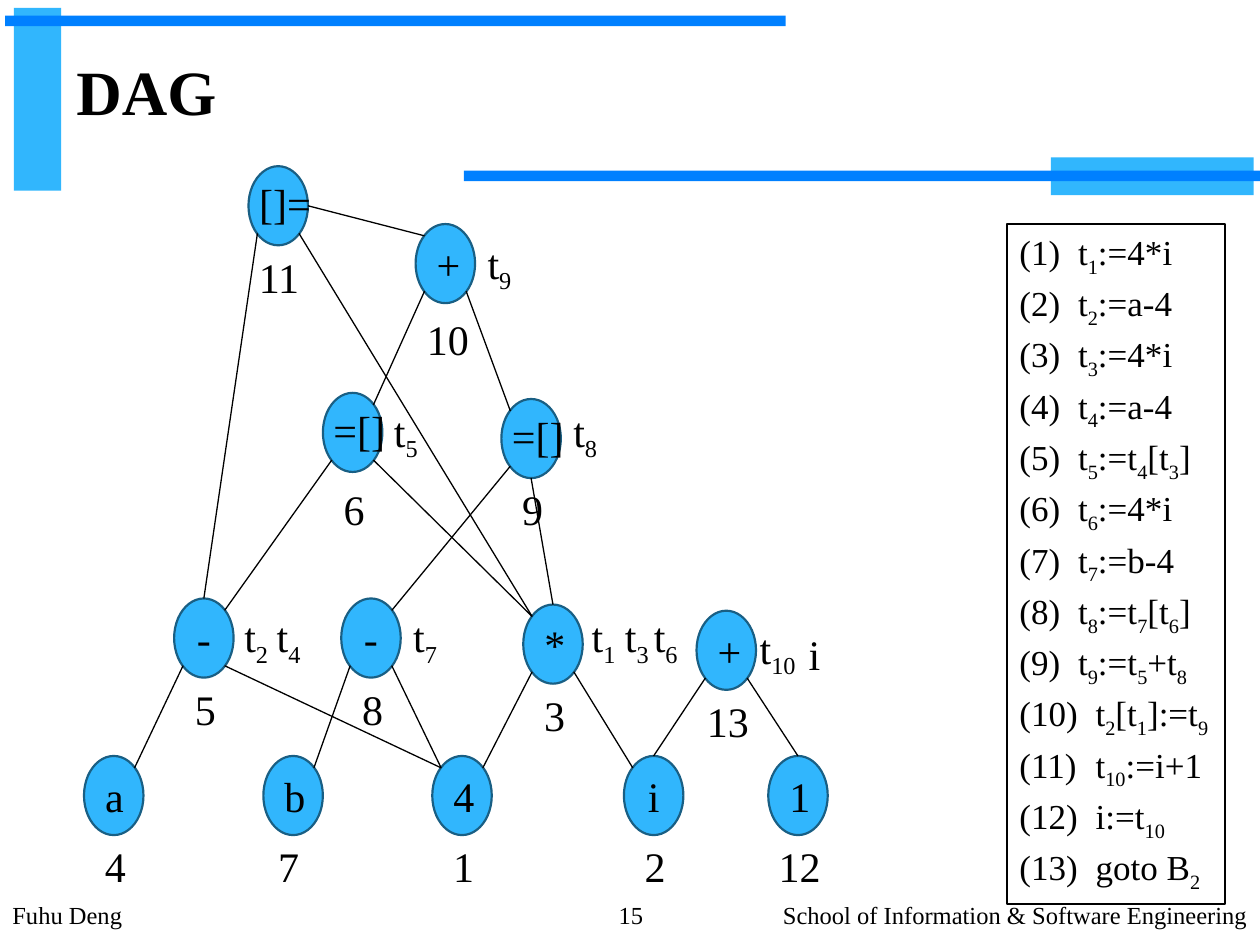
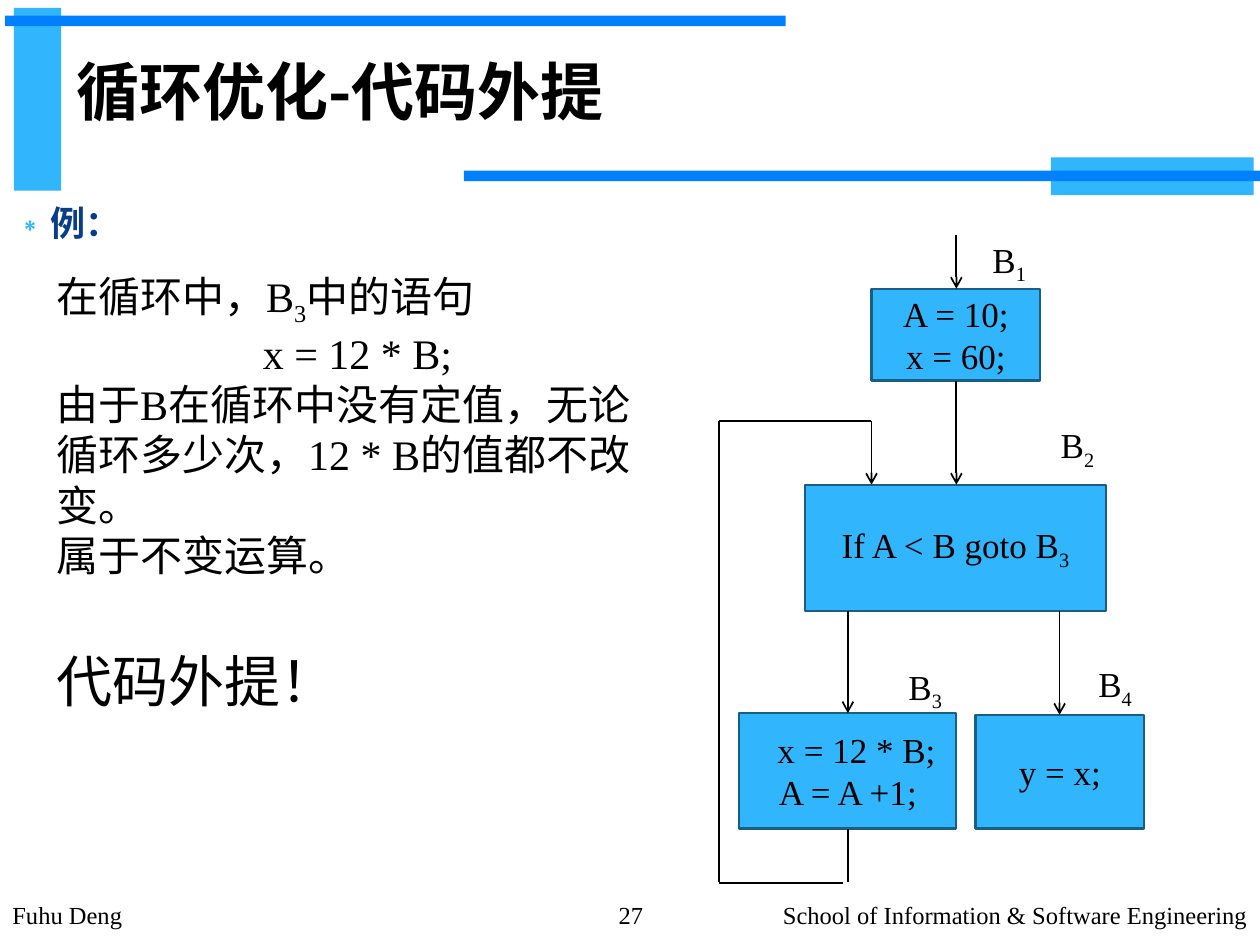
from lxml import etree
from pptx import Presentation
from pptx.dml.color import RGBColor
from pptx.enum import shapes, text
from pptx.oxml.ns import qn
from pptx.util import Pt

SERIF, SANS = "Times New Roman", "Noto Sans CJK SC"
BLACK, SKY, BLUE, EDGE, NAVY = "000000", "31B6FD", "0080FF", "195F84", "073E87"
LEFT, CENTER, RIGHT = text.PP_ALIGN.LEFT, text.PP_ALIGN.CENTER, text.PP_ALIGN.RIGHT
TOP, MIDDLE = text.MSO_ANCHOR.TOP, text.MSO_ANCHOR.MIDDLE
RECT, OVAL = shapes.MSO_SHAPE.RECTANGLE, shapes.MSO_SHAPE.OVAL

BANDS = [(8, 4.5, 27, 104.5, SKY), (3, 9, 446, 6, BLUE),
         (600.5, 90, 116, 21.5, SKY), (265, 97.5, 458, 6, BLUE)]

NODE_W, NODE_H = 34, 45.2
NODES = {1: (247, 432, "4"), 2: (356.5, 432, "i"), 3: (299, 345.5, "*"),
         4: (48, 432, "a"), 5: (99.5, 342, "-"), 6: (184.5, 224.5, "=[]"),
         7: (150.5, 432, "b"), 8: (195, 342, "-"), 9: (286.5, 228, "=[]"),
         10: (237.5, 128, "+"), 11: (142, 95, "[]="), 12: (439, 432, "1"),
         13: (398, 349, "+")}
NUMBER_SHIFTS = {6: (0, 3.5), 7: (-3.5, 0), 10: (0.5, 2.5)}
SITES = {"top": (0.5, 0), "bottom": (0.5, 1), "right": (1, 0.5),
         "tl": (0.15, 0.15), "tr": (0.85, 0.15),
         "bl": (0.15, 0.85), "br": (0.85, 0.85)}
EDGES = [(11, "right", 10, "tl"), (11, "bl", 5, "top"), (11, "br", 3, "tl"),
         (10, "bl", 6, "tr"), (10, "br", 9, "tl"), (6, "bl", 5, "tr"),
         (6, "br", 3, "tl"), (9, "bl", 8, "tr"), (9, "bottom", 3, "top"),
         (5, "bl", 4, "tr"), (5, "br", 1, "tl"), (8, "bl", 7, "tr"),
         (8, "br", 1, "tl"), (3, "bl", 1, "tr"), (3, "br", 2, "tl"),
         (13, "bl", 2, "top"), (13, "br", 12, "top")]
VARIABLES = [("t{1}", 331, 345.5), ("t{3}", 350, 345.5), ("t{6}", 366.5, 345.5),
             ("t{2}", 132.5, 345.5), ("t{4}", 151, 345.5), ("t{5}", 218, 228),
             ("t{7}", 229, 345.5), ("t{8}", 320.5, 228), ("t{9}", 271.5, 132),
             ("t{10}", 427, 352), ("i", 455, 355.5)]
STATEMENTS = ["t{1}:=4*i", "t{2}:=a-4", "t{3}:=4*i", "t{4}:=a-4", "t{5}:=t{4}[t{3}]",
              "t{6}:=4*i", "t{7}:=b-4", "t{8}:=t{7}[t{6}]", "t{9}:=t{5}+t{8}",
              "t{2}[t{1}]:=t{9}", "t{10}:=i+1", "i:=t{10}", "goto B{2}"]

BLOCKS = [(498, 165, 96.5, 52.5, "A = 10;\nx = 60;"),
          (460, 277, 172, 72, "If A < B goto B{3}"),
          (422.5, 407.5, 124, 66, "  x = 12 * B;\nA = A +1;"),
          (557.5, 408.5, 96.5, 65, "y = x;")]
BLOCK_NAMES = [("B{1}", 560, 132.5), ("B{2}", 599, 238.5),
               ("B{3}", 512, 376.5), ("B{4}", 620.5, 375)]
ARROWS = [(546.5, 134.5, 546.5, 165), (546.5, 217.5, 546.5, 277),
          (498, 240.5, 498, 277), (484.5, 349, 484.5, 407.5),
          (605.5, 349, 605.5, 408.5)]
LOOP_BACK = [(484.5, 473.5, 484.5, 504), (481.5, 504.5, 411, 504.5),
             (411, 504, 411, 240.5), (411, 240.5, 498, 240.5)]
EXPLANATION = ("在循环中，B{3}中的语句\nx = 12 * B;\n"
               "由于B在循环中没有定值，无论循环多少次，12 * B的值都不改变。\n"
               "属于不变运算。\n代码外提！")


def rgb(value):
    """Turn a hex string into a colour."""
    return RGBColor.from_string(value)


def place(sp, x, y, w, h):
    """Move and size a shape in points."""
    sp.left, sp.top, sp.width, sp.height = Pt(x), Pt(y), Pt(w), Pt(h)


def style_run(r, size, color=BLACK, font=SERIF, bold=False):
    """Format one run for Latin and Chinese letters."""
    r.font.size, r.font.bold, r.font.name = Pt(size), bold, font
    r.font.color.rgb = rgb(color)
    etree.SubElement(r._r.get_or_add_rPr(), qn("a:ea"), typeface=SANS)


def write(tf, content, size, align=LEFT, **style):
    """Fill a frame line by line, with subscripts marked by braces."""
    tf.text = content.replace("{", "").replace("}", "")
    for p, line in zip(tf.paragraphs, content.split("\n")):
        p.alignment = align
        p.text = ""
        for i, part in enumerate(line.replace("}", "{").split("{")):
            if part:
                r = p.add_run()
                r.text = part
                style_run(r, size, **style)
                if i % 2:
                    r._r.get_or_add_rPr().set("baseline", "-25000")


def add_text(s, x, y, w, h, content, size, align=LEFT, wrap=False):
    """Add a text box and return its frame."""
    tf = s.shapes.add_textbox(Pt(x), Pt(y), Pt(w), Pt(h)).text_frame
    tf.word_wrap = wrap
    write(tf, content, size, align)
    return tf


def add_box(s, kind, x, y, w, h, fill=SKY, line=None, weight=1.25):
    """Add a preset shape with a plain fill and outline."""
    sp = s.shapes.add_shape(kind, Pt(x), Pt(y), Pt(w), Pt(h))
    sp.shadow.inherit = False
    if fill:
        sp.fill.solid()
        sp.fill.fore_color.rgb = rgb(fill)
    else:
        sp.fill.background()
    if line:
        sp.line.color.rgb = rgb(line)
        sp.line.width = Pt(weight)
    else:
        sp.line.fill.background()
    return sp


def add_line(s, x1, y1, x2, y2, weight=1, arrow=False):
    """Add a black straight line, with an arrowhead at its end if asked."""
    c = s.shapes.add_connector(shapes.MSO_CONNECTOR.STRAIGHT,
                               Pt(x1), Pt(y1), Pt(x2), Pt(y2))
    c.line.color.rgb = rgb(BLACK)
    c.line.width = Pt(weight)
    if arrow:
        etree.SubElement(c.line._get_or_add_ln(), qn("a:tailEnd"), type="arrow")
    etree.SubElement(c._element.spPr, qn("a:effectLst"))


def add_slide(prs, layout, title, number, font=SERIF):
    """Add a slide with the shared bands, title and footer."""
    s = prs.slides.add_slide(prs.slide_layouts[layout])
    for x, y, w, h, color in BANDS:
        add_box(s, RECT, x, y, w, h, color)
    place(s.shapes.title, 36.5, 15, 595.5, 73.5)
    tf = s.shapes.title.text_frame
    tf.vertical_anchor = MIDDLE
    write(tf, title, 36, font=font, bold=True)
    add_text(s, 0, 511, 338, 29, "Fuhu Deng", 14, wrap=True)
    add_text(s, 338, 511, 45, 29, number, 14, CENTER, True)
    add_text(s, 382.5, 511, 337.5, 29,
             "School of Information & Software Engineering", 14, RIGHT, True)
    return s


def add_node(s, number, x, y, label):
    """Add a graph node with its operator and the number below it."""
    sp = add_box(s, OVAL, x, y, NODE_W, NODE_H, line=EDGE)
    if len(label) == 1:
        sp.text_frame.vertical_anchor = MIDDLE
        write(sp.text_frame, label, 24, CENTER)
    else:
        add_text(s, x - 1, y + 3, 44.5, 36, label, 24)
    w = 14.4 + 12 * len(str(number))
    dx, dy = NUMBER_SHIFTS.get(number, (0, 0))
    add_text(s, x + 18 - w / 2 + dx, y + 45 + dy, w, 36, str(number), 24)


def site(number, name):
    """Return the point of a node where an edge meets it."""
    x, y, _ = NODES[number]
    fx, fy = SITES[name]
    return x + fx * NODE_W, y + fy * NODE_H


def add_statements(s):
    """Add the framed list of numbered statements."""
    tf = add_box(s, RECT, 575.5, 128, 124.5, 388.5, None, BLACK, 1).text_frame
    tf.vertical_anchor = TOP
    tf.word_wrap = True
    lines = [f"({n})\t{code}" for n, code in enumerate(STATEMENTS, 1)]
    write(tf, "\n".join(lines), 20)
    for n, p in enumerate(tf.paragraphs, 1):
        tabs = etree.SubElement(p._p.get_or_add_pPr(), qn("a:tabLst"))
        stop = Pt(33.5 if n < 10 else 43.5)
        etree.SubElement(tabs, qn("a:tab"), pos=str(int(stop)), algn="l")
        p.space_before = Pt(2 if n > 1 else 0)


def add_bullet(p, char, color, indent):
    """Give a paragraph a coloured bullet and a hanging indent."""
    pPr = p._p.get_or_add_pPr()
    pPr.set("marL", str(int(Pt(indent))))
    pPr.set("indent", str(-int(Pt(indent))))
    clr = etree.SubElement(pPr, qn("a:buClr"))
    etree.SubElement(clr, qn("a:srgbClr"), val=color)
    etree.SubElement(pPr, qn("a:buFont"), typeface=SERIF)
    etree.SubElement(pPr, qn("a:buChar"), char=char)


def build_dag(prs):
    """Build the slide with the expression graph."""
    s = add_slide(prs, 5, "DAG", "15")
    add_statements(s)
    for number, (x, y, label) in NODES.items():
        add_node(s, number, x, y, label)
    for upper, start, lower, end in EDGES:
        add_line(s, *site(upper, start), *site(lower, end), 0.75)
    for name, x, y in VARIABLES:
        w = {"i": 21, "t{10}": 37.5}.get(name, 29.5)
        add_text(s, x, y, w, 36, name, 24)


def build_code_motion(prs):
    """Build the slide with the loop example and its flow chart."""
    s = add_slide(prs, 1, "循环优化-代码外提", "27", SANS)
    body = s.placeholders[1]
    place(body, 0, 111.5, 720, 396.5)
    write(body.text_frame, "例：", 20, color=NAVY, bold=True)
    p = body.text_frame.paragraphs[0]
    add_bullet(p, "∗", SKY, 21.6)
    p.space_before = Pt(0)
    tf = add_text(s, 25, 151, 358.5, 259, EXPLANATION, 24, wrap=True)
    tf.paragraphs[1].alignment = CENTER
    p = tf.paragraphs[-1]
    p.space_before = Pt(38)
    p.runs[0].font.size = Pt(32)
    for x, y, w, h, code in BLOCKS:
        sp = add_box(s, RECT, x, y, w, h, line=EDGE)
        sp.text_frame.vertical_anchor = MIDDLE
        write(sp.text_frame, code, 20, CENTER)
    for ends in ARROWS:
        add_line(s, *ends, arrow=True)
    for ends in LOOP_BACK:
        add_line(s, *ends)
    for name, x, y in BLOCK_NAMES:
        add_text(s, x, y, 34.5, 31.5, name, 20)


def main():
    """Build and save the deck."""
    prs = Presentation()
    prs.slide_width, prs.slide_height = Pt(720), Pt(540)
    build_dag(prs)
    build_code_motion(prs)
    prs.save("out.pptx")


if __name__ == "__main__":
    main()
